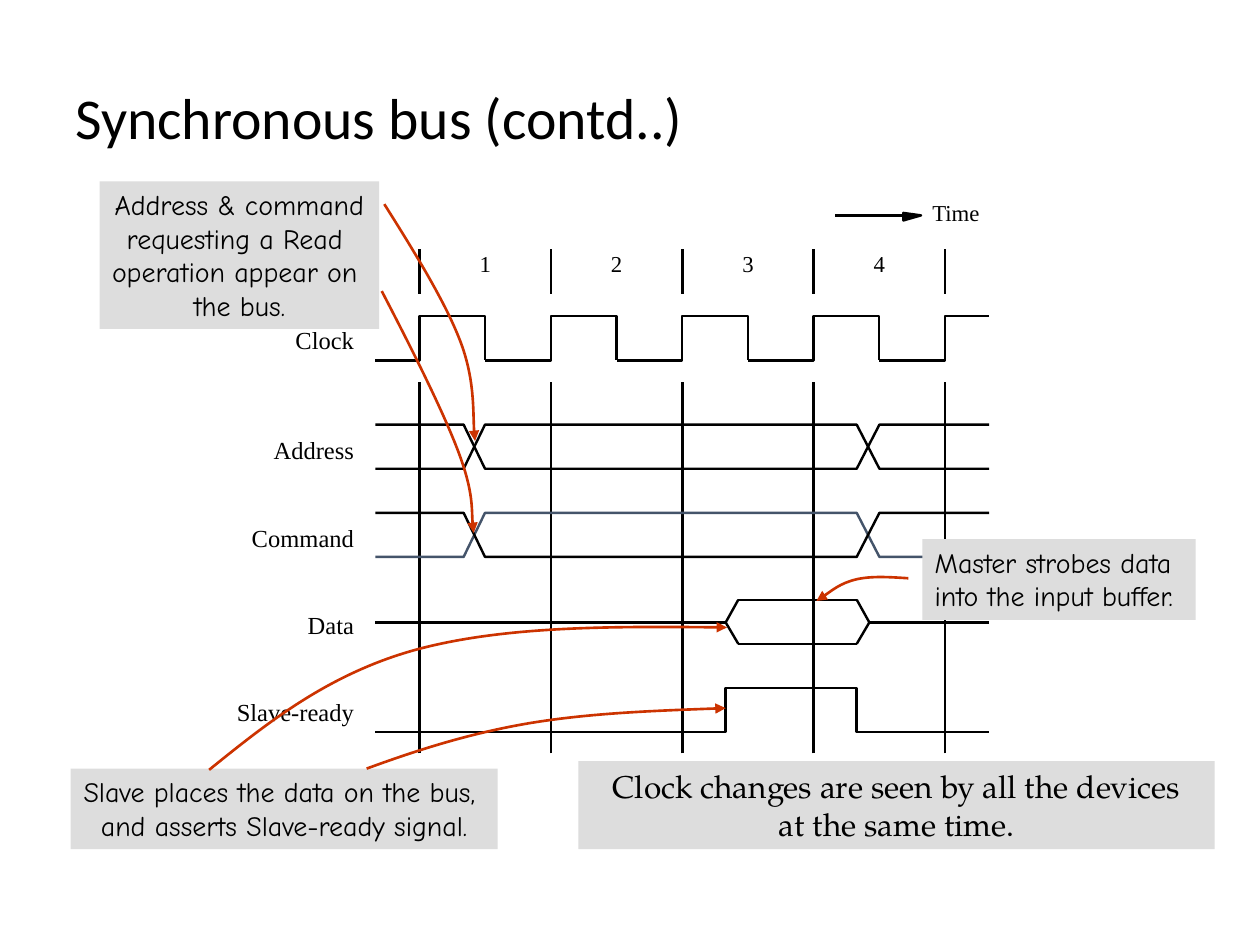
import pptx
import pptx.util
from dataclasses import dataclass
from lxml import etree
from pptx.dml.color import RGBColor
from pptx.enum.shapes import MSO_CONNECTOR, MSO_SHAPE
from pptx.enum.text import MSO_ANCHOR, PP_ALIGN
from pptx.oxml.ns import qn
from pptx.util import Inches, Pt


@dataclass(frozen=True)
class Theme:
    ink: RGBColor = RGBColor(0x00, 0x00, 0x00)
    slate: RGBColor = RGBColor(0x44, 0x54, 0x6A)
    panel: RGBColor = RGBColor(0xDD, 0xDD, 0xDD)
    pointer: RGBColor = RGBColor(0xCC, 0x33, 0x00)
    heading: tuple = ("Calibri", 33)
    signal: tuple = ("Times New Roman", 14)
    axis: tuple = ("Times New Roman", 13)
    note: tuple = ("Comic Neue", 16)
    remark: tuple = ("TeX Gyre Pagella", 18)
    trace_width: float = 1.39
    pointer_width: float = 1.5


theme = Theme()
deck = pptx.Presentation()
deck.slide_width, deck.slide_height = Inches(10), Inches(7.5)
slide = deck.slides.add_slide(deck.slide_layouts[6])


def write(shape, lines, style, align, margins=(0, 0)):
    frame = shape.text_frame
    frame.margin_left = frame.margin_right = Inches(margins[0])
    frame.margin_top = frame.margin_bottom = Inches(margins[1])
    for index, line in enumerate(lines):
        paragraph = frame.paragraphs[0] if index == 0 else frame.add_paragraph()
        paragraph.alignment = align
        run = paragraph.add_run()
        run.text = line
        run.font.name, run.font.size = style[0], Pt(style[1])
        run.font.color.rgb = theme.ink
    return frame


def trace(points, color=theme.ink, width=theme.trace_width):
    """Draw straight segments: a connector for two points, else an open outline."""
    corners = [(Inches(x), Inches(y)) for x, y in points]
    if len(corners) == 2:
        outline = slide.shapes.add_connector(MSO_CONNECTOR.STRAIGHT, *corners[0], *corners[1])
        etree.SubElement(outline.line._get_or_add_ln().getparent(), qn("a:effectLst"))
    else:
        builder = slide.shapes.build_freeform(*corners[0])
        builder.add_line_segments(corners[1:], close=False)
        outline = builder.convert_to_shape()
        outline.shadow.inherit = False
        outline.fill.background()
    outline.line.color.rgb = color
    outline.line.width = Pt(width)
    return outline


title = slide.shapes.add_textbox(Inches(0.5), Inches(0.5), Inches(9.08), Inches(0.92))
heading = write(title, ["Synchronous bus (contd..)"], theme.heading, PP_ALIGN.LEFT, (0.1, 0.05))
heading.word_wrap = True
heading.vertical_anchor = MSO_ANCHOR.MIDDLE
heading.paragraphs[0].line_spacing = 0.9

# Time grid shared by all signals
left, right = 2.98, 7.85
first_edge, last_edge, cycles = 3.33, 7.5, 4
cycle = (last_edge - first_edge) / cycles
edges = [first_edge + cycle * n for n in range(cycles + 1)]
swing = 0.35

# Clock
clock_high = 2.51
clock_low = clock_high + swing
start = left
for edge in edges:
    rise = [(start, clock_low), (edge, clock_low), (edge, clock_high)]
    if edge == edges[-1]:
        trace(rise + [(right, clock_high)])
    else:
        start = edge + cycle / 2
        trace(rise + [(start, clock_high), (start, clock_low)])

for edge in edges:
    trace([(edge, 5.98), (edge, 3.03)])
    trace([(edge, 1.98), (edge, 2.33)])

# Address and command: two complementary lines that cross twice
crossings = [(3.68, 3.85), (6.8, 6.98)]
for high, rising_color in [(3.37, theme.ink), (4.07, theme.slate)]:
    low = high + swing
    for outer, inner, color in [(low, high, rising_color), (high, low, theme.ink)]:
        (a, b), (c, d) = crossings
        trace([(left, outer), (a, outer), (b, inner), (c, inner), (d, outer), (right, outer)], color)

# Data: idle line opening into a valid window
data_middle, data_high = 4.94, 4.76
data_low = data_high + swing
valid_from, valid_to = 5.76, 6.9
trace([(left, data_middle), (valid_from, data_middle)])
trace([(right, data_middle), (valid_to, data_middle)])
trace([(5.86, data_low), (valid_from, data_middle), (5.86, data_high)])
trace([(6.8, data_low), (valid_to, data_middle), (6.8, data_high)])
for level in (data_high, data_low):
    trace([(6.8, level), (5.86, level)])

# Slave-ready
ready_high = 5.46
ready_low = ready_high + swing
trace([(left, ready_low), (5.76, ready_low), (5.76, ready_high),
       (6.8, ready_high), (6.8, ready_low), (right, ready_low)])

# Direction of time
trace([(7.17, 1.71), (6.63, 1.71)])
time_head = trace([(7.17, 1.75), (7.31, 1.71), (7.17, 1.69), (7.17, 1.75)])
time_head.fill.solid()
time_head.fill.fore_color.rgb = theme.ink

# Labels: text, left, top, width, style, alignment
labels = [(name, 1.6, top, 1.21, theme.signal, PP_ALIGN.RIGHT) for name, top in [
    ("Clock", 2.58), ("Address", 3.45), ("Command", 4.15), ("Data", 4.84), ("Slave-ready", 5.53)]]
labels += [(str(n + 1), edge, 1.98, cycle, theme.axis, PP_ALIGN.CENTER)
           for n, edge in enumerate(edges[:-1])]
labels.append(("Time", 7.4, 1.58, 0.5, theme.axis, PP_ALIGN.LEFT))
for text, x, y, width, style, align in labels:
    label = slide.shapes.add_textbox(Inches(x), Inches(y), Inches(width), Inches(0.23))
    write(label, [text], style, align).word_wrap = True

# Notes on grey panels
notes = [
    (0.79, 1.44, 2.22, 1.17, theme.note, PP_ALIGN.CENTER,
     ["Address & command", "requesting a Read ", "operation appear on ", "the bus."]),
    (0.56, 6.1, 3.39, 0.64, theme.note, PP_ALIGN.CENTER,
     ["Slave places the data on the bus, ", "and asserts Slave-ready signal."]),
    (7.32, 4.28, 2.17, 0.64, theme.note, PP_ALIGN.LEFT,
     ["Master strobes data", "into the input buffer."]),
    (4.59, 6.04, 5.05, 0.7, theme.remark, PP_ALIGN.CENTER,
     ["Clock changes are seen by all the devices", "at the same time."]),
]
for x, y, width, height, style, align, lines in notes:
    panel = slide.shapes.add_shape(
        MSO_SHAPE.RECTANGLE, Inches(x), Inches(y), Inches(width), Inches(height))
    panel.shadow.inherit = False
    panel.fill.solid()
    panel.fill.fore_color.rgb = theme.panel
    panel.line.fill.background()
    frame = write(panel, lines, style, align, (0.1, 0.05))
    frame.word_wrap = False
    frame.vertical_anchor = MSO_ANCHOR.TOP

# Curved pointers: a start, then two controls and an end for each Bezier piece
pointers = [
    [(3.05, 1.62), (3.29, 2), (3.53, 2.39), (3.65, 2.7), (3.77, 3.01), (3.75, 3.37), (3.77, 3.5)],
    [(3.03, 2.31), (3.28, 2.79), (3.52, 3.27), (3.64, 3.59), (3.76, 3.91), (3.74, 4.13), (3.76, 4.23)],
    [(7.21, 4.59), (7.06, 4.58), (6.91, 4.57), (6.79, 4.6), (6.67, 4.63), (6.53, 4.74), (6.48, 4.77)],
    [(1.66, 6.11), (2.13, 5.73), (2.61, 5.35), (3.29, 5.16), (3.98, 4.97), (4.88, 4.97), (5.77, 4.98)],
    [(2.91, 6.1), (3.32, 5.95), (3.73, 5.82), (4.2, 5.74), (4.68, 5.66), (5.22, 5.64), (5.76, 5.62)],
]
for points in pointers:
    pointer = trace(points, theme.pointer, theme.pointer_width)
    segments = list(pointer._element.iter(qn("a:lnTo")))
    outline = segments[0].getparent()
    for first in range(0, len(segments), 3):
        curve = etree.SubElement(outline, qn("a:cubicBezTo"))
        for segment in segments[first:first + 3]:
            curve.append(segment[0])
            outline.remove(segment)
    etree.SubElement(pointer.line._get_or_add_ln(), qn("a:tailEnd"), type="triangle")

deck.save("out.pptx")
